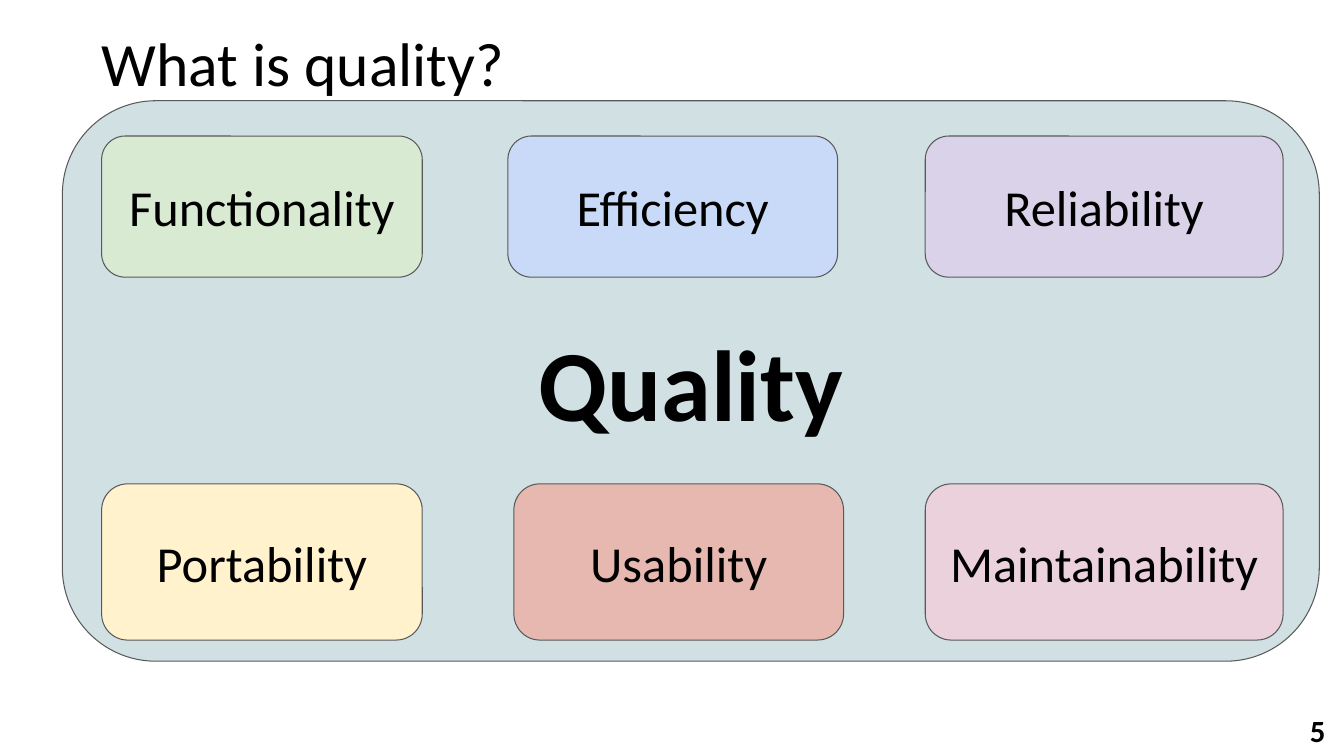
from pptx import Presentation
from pptx.dml.color import RGBColor
from pptx.enum.shapes import MSO_SHAPE
from pptx.enum.text import MSO_ANCHOR, PP_ALIGN
from pptx.util import Pt

ROUNDED = MSO_SHAPE.ROUNDED_RECTANGLE
TOP, MIDDLE = MSO_ANCHOR.TOP, MSO_ANCHOR.MIDDLE
LEFT, CENTER, RIGHT = PP_ALIGN.LEFT, PP_ALIGN.CENTER, PP_ALIGN.RIGHT

FONT = "Calibri"
BLACK = RGBColor(0x00, 0x00, 0x00)
OUTLINE = RGBColor(0x59, 0x59, 0x59)
TEAL = RGBColor(0xD0, 0xE0, 0xE3)
GREEN = RGBColor(0xD9, 0xEA, 0xD3)
BLUE = RGBColor(0xC9, 0xDA, 0xF8)
PURPLE = RGBColor(0xD9, 0xD2, 0xE9)
YELLOW = RGBColor(0xFF, 0xF2, 0xCC)
RED = RGBColor(0xE6, 0xB8, 0xAF)
PINK = RGBColor(0xEA, 0xD1, 0xDC)


def write(sp, text, size, bold, align, anchor, inset_x, inset_y):
    """Fill a shape with one formatted paragraph."""
    tf = sp.text_frame
    tf.word_wrap = True
    tf.vertical_anchor = anchor
    tf.margin_left = tf.margin_right = Pt(inset_x)
    tf.margin_top = tf.margin_bottom = Pt(inset_y)
    p = tf.paragraphs[0]
    p.alignment = align
    r = p.add_run()
    r.text = text
    r.font.name = FONT
    r.font.size = Pt(size)
    r.font.bold = bold
    r.font.color.rgb = BLACK
    return p


def add_title(s, text, x, y, w, h):
    """Place the slide title in its placeholder, in front of the panel."""
    sp = s.shapes.title
    sp.left, sp.top, sp.width, sp.height = Pt(x), Pt(y), Pt(w), Pt(h)
    p = write(sp, text, 44, False, LEFT, TOP, 7.2, 3.6)
    p.line_spacing = 0.73
    sp.element.getparent().append(sp.element)


def add_card(s, text, fill, size, bold, x, y, w, h):
    """Draw a rounded, outlined card with a centred label."""
    sp = s.shapes.add_shape(ROUNDED, Pt(x), Pt(y), Pt(w), Pt(h))
    sp.shadow.inherit = False
    sp.fill.solid()
    sp.fill.fore_color.rgb = fill
    sp.line.color.rgb = OUTLINE
    sp.line.width = Pt(0.75)
    write(sp, text, size, bold, CENTER, MIDDLE, 7.2, 7.2)


def add_quality_panel(s, x, y, w, h):
    """Draw the quality panel with its two rows of characteristics."""
    add_card(s, "Quality", TEAL, 72, True, x, y, w, h)
    rows = [
        (25.2, 100.8, 318.2, [("Functionality", GREEN), ("Efficiency", BLUE),
                              ("Reliability", PURPLE)]),
        (273.6, 111.6, 322.5, [("Portability", YELLOW), ("Usability", RED),
                               ("Maintainability", PINK)]),
    ]
    for dy, card_h, middle_dx, cards in rows:
        columns = [(28, 229), (middle_dx, 235.5), (616.3, 255.6)]
        for (text, fill), (dx, card_w) in zip(cards, columns):
            add_card(s, text, fill, 36, False, x + dx, y + dy, card_w, card_h)


def add_slide_number(s, number, x, y, w, h):
    """Add the slide number in its corner box."""
    sp = s.shapes.add_textbox(Pt(x), Pt(y), Pt(w), Pt(h))
    write(sp, number, 22, True, RIGHT, TOP, 9.4, 9.4)


def main():
    """Build and save the slide."""
    prs = Presentation()
    prs.slide_width, prs.slide_height = Pt(960), Pt(540)
    s = prs.slides.add_slide(prs.slide_layouts[5])
    add_quality_panel(s, 44.6, 72, 897.8, 400.3)
    add_title(s, "What is quality?", 65.5, 27.4, 829.4, 54)
    add_slide_number(s, "5", 898.6, 499, 57.6, 41)
    prs.save("out.pptx")


if __name__ == "__main__":
    main()
